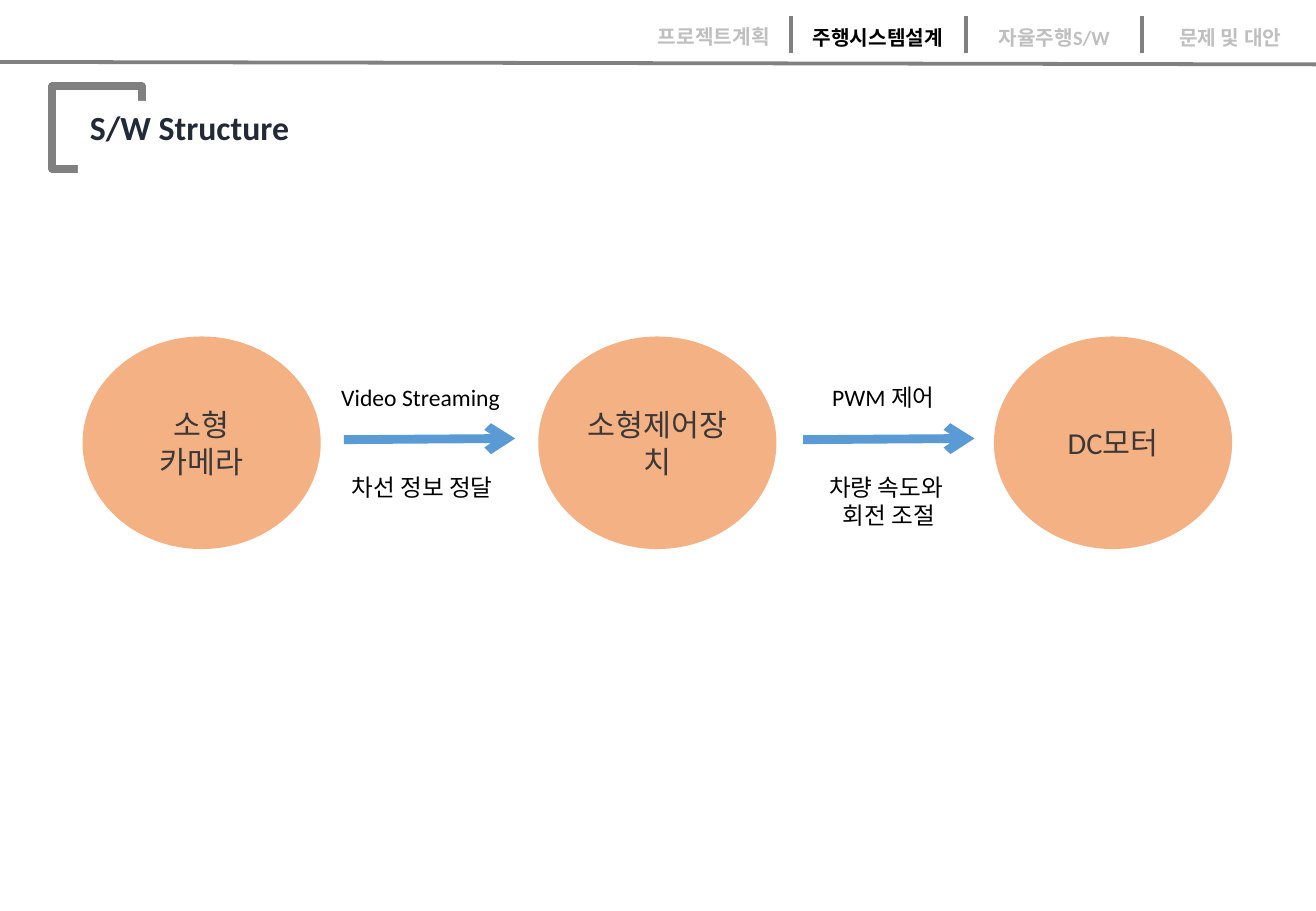
from pptx import Presentation
from pptx.dml.color import RGBColor
from pptx.enum.shapes import MSO_CONNECTOR as Link, MSO_SHAPE as Kind
from pptx.enum.text import MSO_ANCHOR as Anchor, MSO_AUTO_SIZE as Fit, PP_ALIGN as Align
from pptx.oxml.ns import qn
from pptx.util import Inches, Pt
from lxml.etree import SubElement as Sub


def paint(code):
    return RGBColor.from_string(code)


class Deck:
    font = "Calibri"
    gray, pale, ink = "808080", "BFBFBF", "000000"
    white, navy, dark = "FFFFFF", "222A35", "3B3838"
    peach, blue = "F4B183", "5B9BD5"

    def __init__(self, wide, high):
        self.file = Presentation()
        self.file.slide_width = Inches(wide)
        self.file.slide_height = Inches(high)
        self.slide = self.file.slides.add_slide(self.file.slide_layouts[5])
        self.shapes = self.slide.shapes

    def label(self, shape, paras, size, color, bold=False, align=Align.CENTER,
              anchor=Anchor.TOP, fit=Fit.SHAPE_TO_FIT_TEXT):
        frame = shape.text_frame
        frame.word_wrap = True
        frame.auto_size = fit
        frame.vertical_anchor = anchor
        for i, lines in enumerate(paras):
            para = frame.add_paragraph() if i else frame.paragraphs[0]
            para.alignment = align
            for j, line in enumerate(lines.split("\n")):
                if j:
                    para.add_line_break()
                run = para.add_run()
                run.text = line
                run.font.name = self.font
                run.font.size = Pt(size)
                run.font.bold = bold
                run.font.color.rgb = paint(color)

    def title(self, text, *box):
        head = self.shapes.title
        head.left, head.top, head.width, head.height = map(Inches, box)
        head.fill.solid()
        head.fill.fore_color.rgb = paint(self.white)
        self.label(head, [text], 20, self.navy, True, Align.LEFT)

    def frame(self, *box):
        rect = self.shapes.add_shape(Kind.RECTANGLE, *map(Inches, box))
        rect.shadow.inherit = False
        rect.fill.background()
        rect.line.color.rgb = paint(self.gray)
        rect.line.width = Pt(4.5)
        self.shapes.title._element.addprevious(rect._element)

    def oval(self, paras, *box):
        oval = self.shapes.add_shape(Kind.OVAL, *map(Inches, box))
        oval.shadow.inherit = False
        oval.fill.solid()
        oval.fill.fore_color.rgb = paint(self.peach)
        oval.line.fill.background()
        self.label(oval, paras, 18, self.dark, anchor=Anchor.MIDDLE, fit=Fit.NONE)

    def text(self, text, box, size=14, color=ink, bold=False, align=Align.CENTER):
        area = self.shapes.add_textbox(*map(Inches, box))
        self.label(area, [text], size, color, bold, align)

    def line(self, ends, color=gray, width=2.5, arrow=False):
        line = self.shapes.add_connector(Link.STRAIGHT, *map(Inches, ends))
        line.line.color.rgb = paint(color)
        line.line.width = Pt(width)
        props = line._element.spPr
        if arrow:
            Sub(props.find(qn("a:ln")), qn("a:tailEnd"), type="arrow")
        Sub(props, qn("a:effectLst"))


def main():
    deck = Deck(10.83, 7.5)
    deck.line((0, 0.51, 10.83, 0.53), width=2.25)
    deck.frame(0.43, 0.71, 0.74, 0.68)
    deck.title("S/W Structure", 0.64, 0.83, 5.43, 0.44)

    for x in (6.51, 7.95, 9.4):
        deck.line((x, 0.13, x, 0.44))
    tabs = [("프로젝트계획", 5.17, 0.15), ("주행시스템설계", 6.52, 0.16),
            ("자율주행S/W", 7.97, 0.16), ("문제 및 대안", 9.42, 0.16)]
    for i, (name, x, y) in enumerate(tabs):
        color = deck.ink if i == 1 else deck.pale
        deck.text(name, (x, y, 1.41, 0.3), 12, color, True)

    parts = [["소형", "카메라"], ["소형제어장치"], ["DC모터"]]
    for i, part in enumerate(parts):
        deck.oval(part, 0.68 + 3.75 * i, 2.77, 1.96, 1.75)

    for x in (2.83, 6.61):
        deck.line((x, 3.62, x + 1.41, 3.61), deck.blue, 5.25, True)
    deck.text("Video Streaming", (2.71, 3.1, 1.53, 0.34), align=Align.LEFT)
    deck.text("차선 정보 정달", (2.71, 3.84, 1.53, 0.34))
    deck.text("PWM 제어", (6.75, 3.1, 1.53, 0.34), align=Align.LEFT)
    deck.text("차량 속도와 \n회전 조절", (6.55, 3.84, 1.53, 0.57))

    deck.file.save("out.pptx")


if __name__ == "__main__":
    main()
